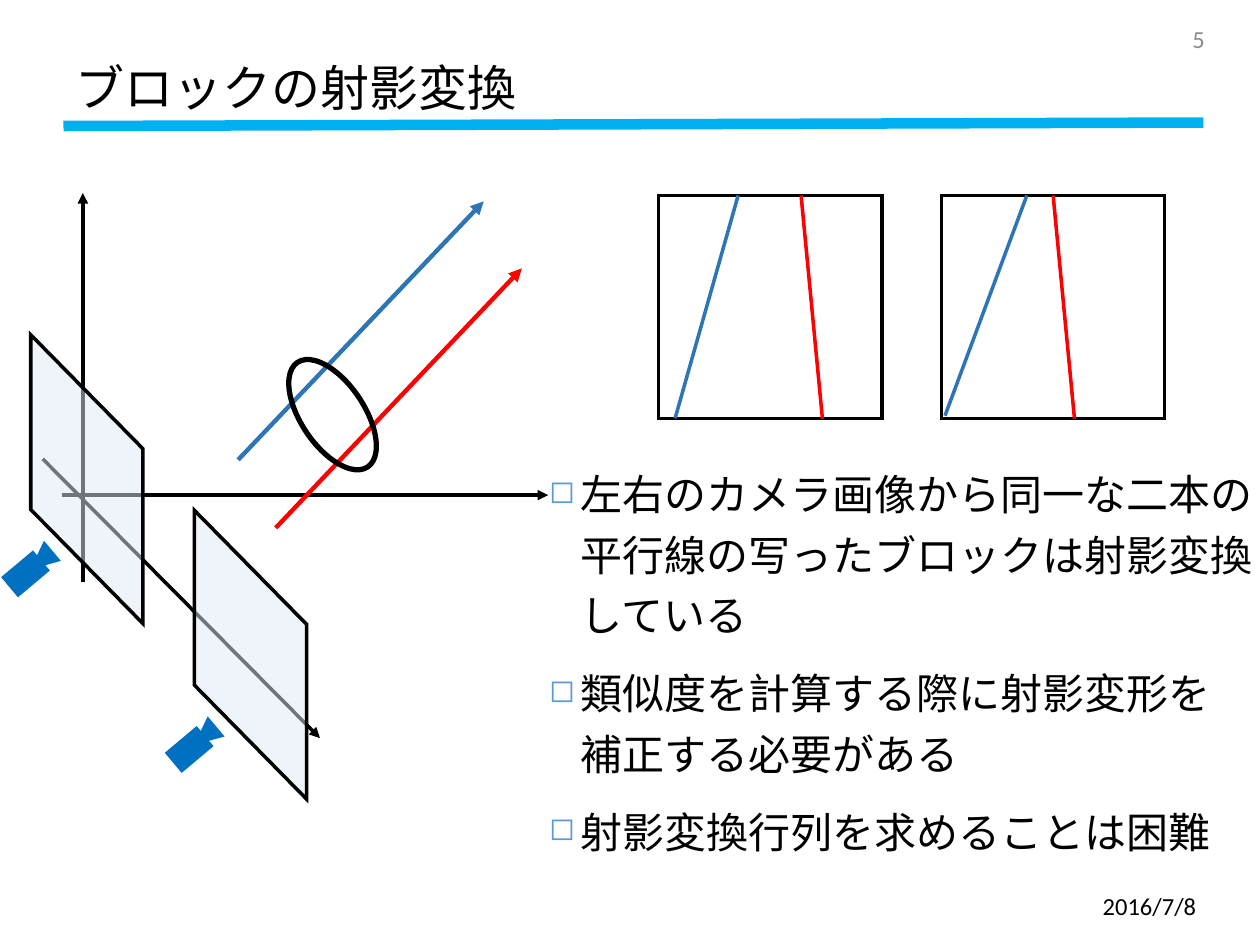
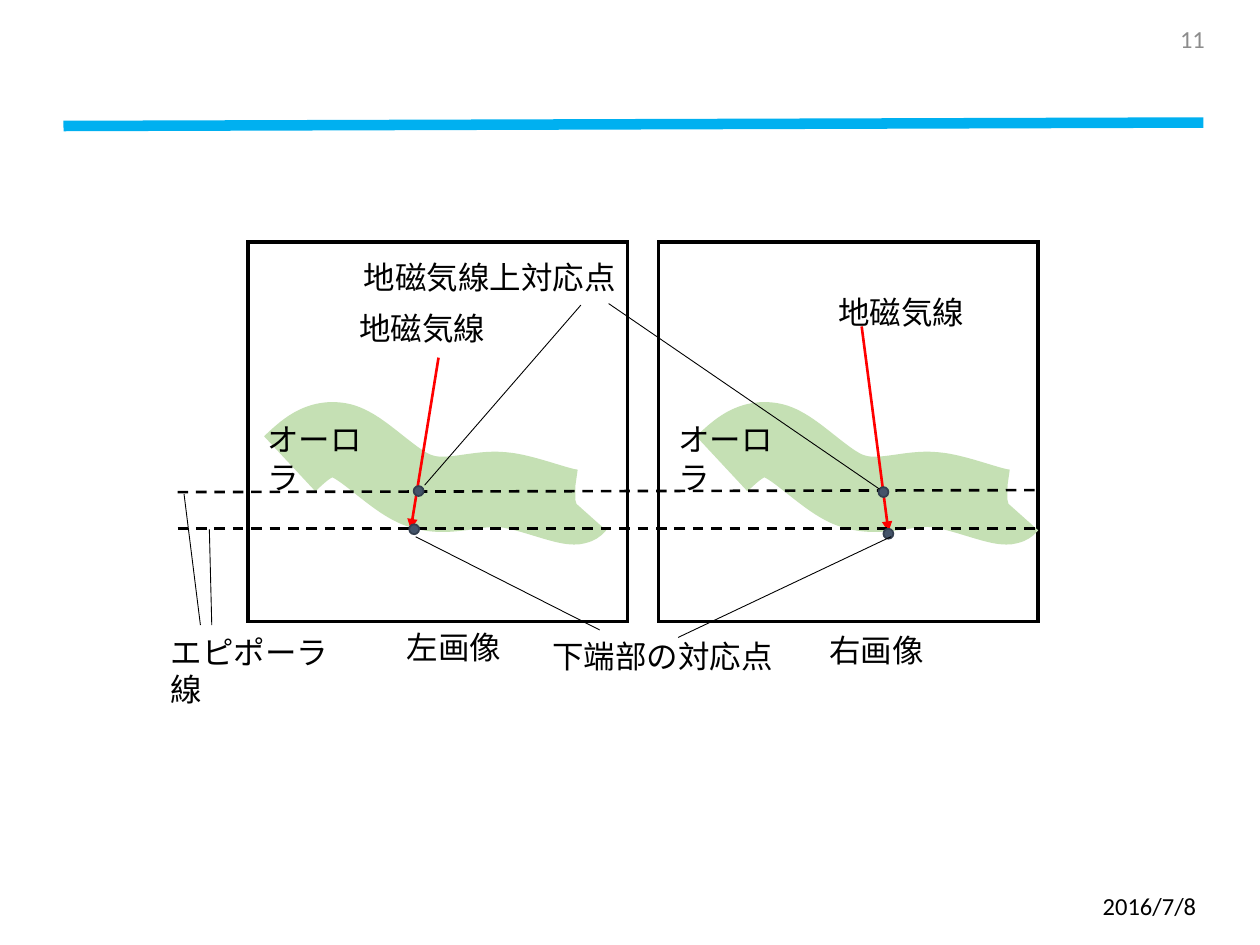
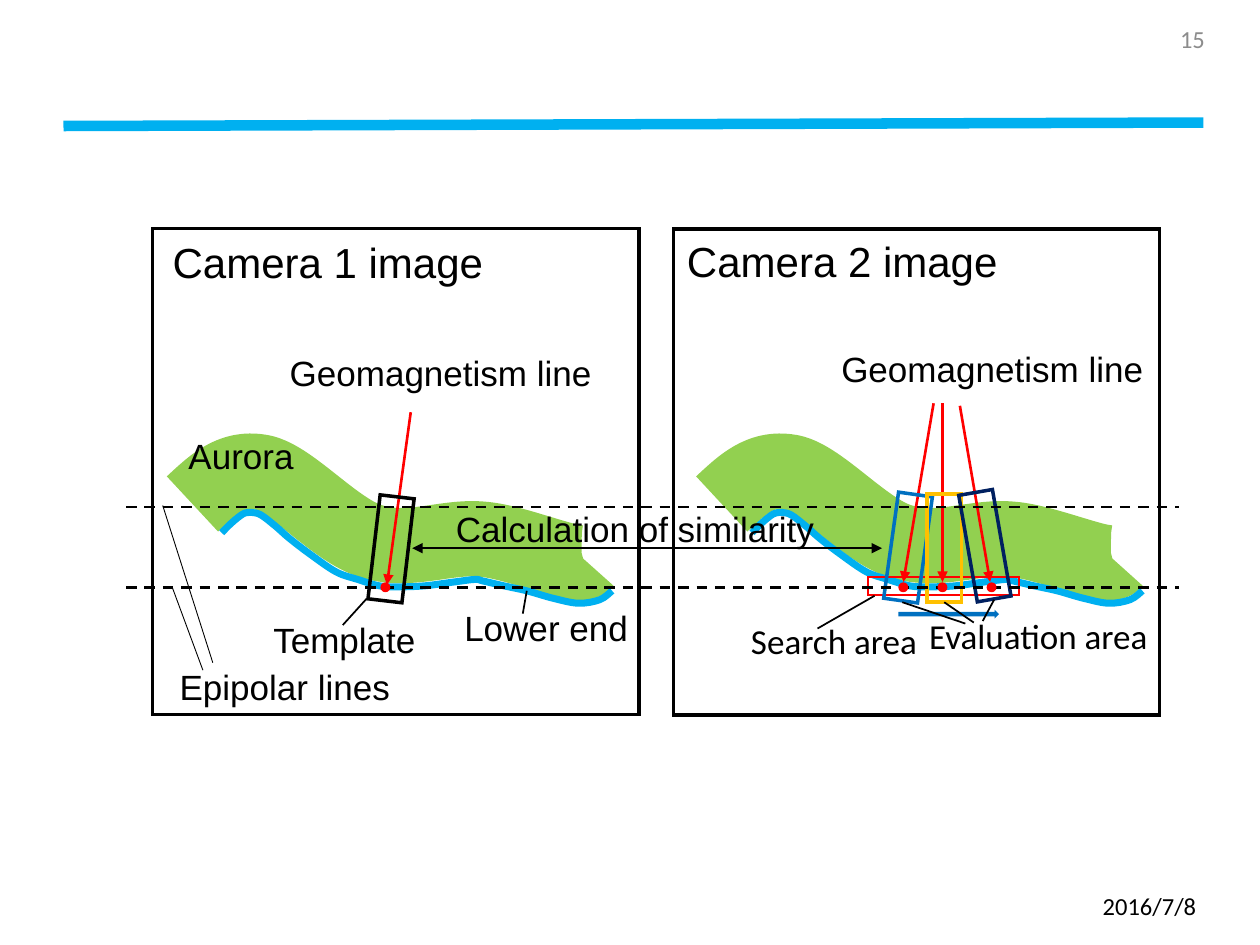
import lxml.etree
import pptx
import pptx.dml.color
import pptx.enum.dml
import pptx.enum.shapes
import pptx.enum.text
import pptx.oxml.ns
import pptx.util

Cm = pptx.util.Cm
Pt = pptx.util.Pt
qn = pptx.oxml.ns.qn
SHAPE = pptx.enum.shapes.MSO_SHAPE
ALIGN = pptx.enum.text.PP_ALIGN
ANCHOR = pptx.enum.text.MSO_ANCHOR

BLACK, WHITE, RED = "000000", "FFFFFF", "FF0000"
BLUE, DARK_BLUE, SKY = "2E75B6", "0070C0", "00B0F0"
GREY, PALE_GREEN, GREEN = "8C8C8C", "C5E0B4", "92D050"
JAPANESE, LATIN, SANS = "Noto Sans CJK JP", "Calibri", "Arial"

# Offsets in cm from the first point; the band is a chain of Bezier curves.
AURORA_BAND = [
    (0, 0), (.41, -.38), (.79, -.76), (1.4, -.64), (2.01, -.51), (2.9, .56),
    (3.63, .76), (4.37, .99), (5.13, .64), (5.84, .71), (6.55, .76),
    (7.85, 1.35), (7.92, 1.14)]
LOWER_EDGE = [
    (0, 0), (.2, -.2), (.43, -.38), (.56, -.41), (.61, -.41), (.79, -.36),
    (1.09, -.13), (1.35, .1), (1.78, .43), (2.31, .79), (2.74, .94),
    (3.18, 1.07), (3.56, 1.09), (4.09, 1.07), (4.7, .99), (5.11, .94),
    (5.26, .97), (5.69, 1.07), (6.15, 1.17), (6.68, 1.32), (7.19, 1.42),
    (7.62, 1.35), (7.87, 1.17)]


def rgb(value):
    return pptx.dml.color.RGBColor.from_string(value)


def style_runs(paragraph, size, font, color):
    for span in paragraph.runs:
        span.font.size = Pt(size)
        span.font.name = font
        span.font.color.rgb = rgb(color)
        if font == JAPANESE:
            east_asian = lxml.etree.SubElement(span.font._element, qn("a:ea"))
            east_asian.set("typeface", font)


def add_box(page, left, top, width, height, anchor=ANCHOR.TOP):
    box = page.shapes.add_textbox(Cm(left), Cm(top), Cm(width), Cm(height))
    box.text_frame.word_wrap = True
    box.text_frame.vertical_anchor = anchor
    return box


def add_label(page, text, left, top, width, height=1.02, size=18, font=LATIN,
              color=BLACK, anchor=ANCHOR.TOP, align=ALIGN.LEFT):
    box = add_box(page, left, top, width, height, anchor)
    para = box.text_frame.paragraphs[0]
    para.text = text
    para.alignment = align
    style_runs(para, size, font, color)
    return box


def add_line(page, start, end, color=BLACK, width=2.0, dashed=False,
             head=False, tail=False):
    line = page.shapes.add_connector(
        pptx.enum.shapes.MSO_CONNECTOR.STRAIGHT, *map(Cm, start + end))
    line.line.color.rgb = rgb(color)
    line.line.width = Pt(width)
    if dashed:
        line.line.dash_style = pptx.enum.dml.MSO_LINE.DASH
    properties = line._element.spPr
    outline = properties.find(qn("a:ln"))
    for tag, wanted in (("a:headEnd", head), ("a:tailEnd", tail)):
        if wanted:
            lxml.etree.SubElement(outline, qn(tag)).set("type", "triangle")
    lxml.etree.SubElement(properties, qn("a:effectLst"))
    return line


def paint(shape, fill, color, width):
    shape.shadow.inherit = False
    if fill:
        shape.fill.solid()
        shape.fill.fore_color.rgb = rgb(fill)
    else:
        shape.fill.background()
    if color:
        shape.line.color.rgb = rgb(color)
        shape.line.width = Pt(width)
    else:
        shape.line.fill.background()


def add_figure(page, kind, left, top, width, height, fill=None, color=None,
               line_width=2, rotation=0):
    shape = page.shapes.add_shape(
        kind, Cm(left), Cm(top), Cm(width), Cm(height))
    shape.rotation = rotation
    paint(shape, fill, color, line_width)
    if color:
        outline = shape._element.spPr.find(qn("a:ln"))
        lxml.etree.SubElement(outline, qn("a:miter")).set("lim", "800000")
    return shape


def smooth(points):
    """Return Bezier points of a soft curve through all the points."""
    padded = [points[0], *points, points[-1]]
    curve = [points[0]]
    for before, start, end, after in zip(padded, points, points[1:], padded[3:]):
        leave = tuple(s + (e - b) / 6 for b, s, e in zip(before, start, end))
        arrive = tuple(e - (a - s) / 6 for s, e, a in zip(start, end, after))
        curve += [leave, arrive, end]
    return curve


def add_curve(page, left, top, offsets, color, width, scale=1.0):
    """Draw an open chain of Bezier curves, three offsets to a curve."""
    points = [(Cm(left + x * scale), Cm(top + y * scale)) for x, y in offsets]
    builder = page.shapes.build_freeform(*points[0])
    builder.add_line_segments(points[1:], close=False)
    shape = builder.convert_to_shape()
    paint(shape, None, color, width)
    track = next(shape._element.iter(qn("a:path")))
    segments = track.findall(qn("a:lnTo"))
    for first in range(0, len(segments), 3):
        bezier = lxml.etree.SubElement(track, qn("a:cubicBezTo"))
        for segment in segments[first:first + 3]:
            bezier.append(segment[0])
            track.remove(segment)


def add_page(deck, number, title=None):
    page = deck.slides.add_slide(deck.slide_layouts[6])
    add_line(page, (1.28, 2.54), (24.26, 2.47), SKY, 6)
    if title:
        box = add_label(page, title, 1.28, .69, 22.96, 2.29, 28, JAPANESE,
                        anchor=ANCHOR.MIDDLE)
        box.text_frame.paragraphs[0].line_spacing = .9
    add_label(page, "2016/7/8", 21.98, 17.75, 3.1, size=14,
              anchor=ANCHOR.MIDDLE)
    add_label(page, str(number), 23.02, .28, 1.52, size=14, color=GREY,
              anchor=ANCHOR.MIDDLE, align=ALIGN.RIGHT)
    return page


def add_bullets(page, texts, left, top, width, height):
    frame = add_box(page, left, top, width, height).text_frame
    for index, text in enumerate(texts):
        para = frame.add_paragraph() if index else frame.paragraphs[0]
        para.text = text
        properties = para._p.get_or_add_pPr()
        properties.set("marL", str(Cm(.64)))
        properties.set("indent", str(-Cm(.64)))
        bullet_color = lxml.etree.SubElement(properties, qn("a:buClr"))
        lxml.etree.SubElement(bullet_color, qn("a:srgbClr")).set("val", "5B9BD5")
        lxml.etree.SubElement(properties, qn("a:buSzPct")).set("val", "75000")
        lxml.etree.SubElement(properties, qn("a:buChar")).set("char", "◻")
        para.line_spacing = 1.2
        para.space_before = Pt(10 if index else 0)
        style_runs(para, 24, JAPANESE, BLACK)


def add_camera(page, left, top):
    """Draw a translucent image plane with its camera below left."""
    plane = add_figure(page, SHAPE.PARALLELOGRAM, left, top, 5.82, 2.26,
                       "DEEBF7", BLACK, rotation=90)
    plane.adjustments[0] = 1.016
    plane_color = plane._element.spPr.find(qn("a:solidFill"))[0]
    lxml.etree.SubElement(plane_color, qn("a:alpha")).set("val", "50000")
    add_figure(page, SHAPE.RECTANGLE, left + 1.41, top + 2.62, .53, .84,
               DARK_BLUE, rotation=50)
    add_figure(page, SHAPE.ISOSCELES_TRIANGLE, left + 1.73, top + 2.47,
               .53, .58, DARK_BLUE, rotation=230)


def add_block(page, left, blue_top, blue_bottom, red_top):
    """Draw one image block crossed by a blue and a red line."""
    top, side = 3.94, 4.5
    add_figure(page, SHAPE.RECTANGLE, left, top, side, side, WHITE, BLACK)
    add_line(page, (blue_top, top), blue_bottom, BLUE)
    add_line(page, (red_top, top), (red_top + .43, top + side), RED)


def projection_slide(deck):
    page = add_page(deck, 5, "ブロックの射影変換")
    add_block(page, 13.28, 14.88, (13.61, 8.43), 16.15)
    add_block(page, 18.98, 20.7, (19.05, 8.38), 21.23)
    add_bullets(page, [
        "左右のカメラ画像から同一な二本の平行線の写ったブロックは射影変換している",
        "類似度を計算する際に射影変形を\v補正する必要がある",
        "射影変換行列を求めることは困難"], 10.82, 9.12, 15.39, 8.74)
    for start, end in [((1.24, 9.98), (11.05, 9.98)),
                       ((.86, 9.25), (6.45, 14.88)),
                       ((1.67, 11.73), (1.67, 3.89))]:
        add_line(page, start, end, tail=True)
    add_camera(page, 2.14, 12.07)
    add_camera(page, -1.16, 8.53)
    add_line(page, (4.8, 9.27), (9.75, 4.06), BLUE, 2.5, tail=True)
    add_line(page, (5.56, 10.64), (10.52, 5.41), RED, 2.5, tail=True)
    add_figure(page, SHAPE.OVAL, 6.07, 7.09, 1.27, 2.54, color=BLACK,
               line_width=3, rotation=326.1)


def epipolar_slide(deck):
    page = add_page(deck, 11)
    images = [(5, 5.84, (8.84, 7.21), (8.28, 10.67)),
              (13.28, 14.55, (17.37, 6.58), (17.91, 10.72))]
    for left, band_left, line_start, line_end in images:
        add_figure(page, SHAPE.RECTANGLE, left, 4.88, 7.65, 7.65, WHITE, BLACK)
        add_curve(page, band_left, 9.35, AURORA_BAND, PALE_GREEN, 43,
                  scale=2.29 / 3.12)
        add_line(page, line_start, line_end, RED, 1.5, tail=True)
        add_label(page, "オーロラ", left + .14, 8.34, 2.79)

    for start, end in [((3.58, 10.66), (20.93, 10.66)),
                       ((3.58, 9.92), (20.93, 9.88))]:
        add_line(page, start, end, width=1.5, dashed=True)
    for left, top in [(8.25, 10.57), (17.81, 10.66), (17.71, 9.82), (8.34, 9.8)]:
        add_figure(page, SHAPE.OVAL, left, top, .2, .2, "44546A", "333F50", 1)

    for text, left, top, width in [
            ("地磁気線", 6.99, 6.1, 3.07), ("地磁気線", 16.65, 5.78, 3.07),
            ("左画像", 7.95, 12.54, 2.44), ("右画像", 16.47, 12.6, 2.44),
            ("エピポーラ線", 3.19, 12.63, 4.01),
            ("下端部の対応点", 10.88, 12.72, 5),
            ("地磁気線上対応点", 7.08, 5.08, 5.64)]:
        add_label(page, text, left, top, width)
    for start, end in [
            ((8.38, 10.82), (12.09, 12.7)), ((17.96, 10.82), (13.67, 12.85)),
            ((8.56, 9.78), (11.71, 6.15)), ((17.73, 9.86), (12.27, 6.12)),
            ((4.27, 12.6), (4.22, 10.67)), ((4.04, 12.6), (3.71, 9.96))]:
        add_line(page, start, end, width=.5)


def similarity_slide(deck):
    page = add_page(deck, 15)
    for left, top, band_left, edge_left in [(3.08, 4.61, 3.88, 4.47),
                                            (13.58, 4.62, 14.55, 15.16)]:
        add_figure(page, SHAPE.RECTANGLE, left, top, 9.8, 9.8, WHITE, BLACK)
        add_curve(page, band_left, 10.16, AURORA_BAND, GREEN, 43)
        add_curve(page, edge_left, 10.74, smooth(LOWER_EDGE), SKY, 4)

    add_figure(page, SHAPE.RECTANGLE, 17.5, 11.63, 3.05, .36, color=RED,
               line_width=1)
    for start, end in [
            ((8.28, 8.31), (7.8, 11.79)), ((18.82, 8.13), (18.21, 11.73)),
            ((19, 8.13), (19, 11.73)), ((19.35, 8.18), (19.96, 11.73))]:
        add_line(page, start, end, RED, 1.5, tail=True)
    areas = [add_figure(page, SHAPE.RECTANGLE, left, top, .69, height,
                        color=color, rotation=rotation)
             for left, top, height, color, rotation in [
                 (7.54, 10.01, 2.11, BLACK, 6.7),
                 (17.96, 9.96, 2.16, DARK_BLUE, 8),
                 (18.69, 9.96, 2.18, "FFC000", 0),
                 (19.51, 9.91, 2.18, "002060", 350.1)]]

    add_figure(page, SHAPE.RIGHT_ARROW, 18.11, 12.29, 2.03, .18, DARK_BLUE)
    add_line(page, (8.31, 11.05), (17.78, 11.05), width=1.5, head=True,
             tail=True)
    for height in (11.84, 10.22):
        add_line(page, (2.54, height), (23.77, height), width=1.5, dashed=True)
    for left in (7.67, 18.11, 18.9, 19.89):
        add_figure(page, SHAPE.OVAL, left, 11.74, .2, .2, RED)

    for start, end, width in [
            ((7.39, 12.07), (6.91, 12.6), 1),
            ((10.62, 11.91), (10.54, 12.37), 1),
            ((17.63, 12.01), (16.48, 12.67), 1),
            ((18.19, 12.14), (19.46, 12.57), 1),
            ((20.04, 12.09), (19.81, 12.52), 1),
            ((4.09, 13.51), (3.48, 11.86), .5),
            ((4.29, 13.36), (3.28, 10.19), .5)]:
        add_line(page, start, end, width=width)
    middle_pointer = add_line(page, (19, 12.14), (19.63, 12.55), width=1)
    middle_pointer.begin_connect(areas[2], 2)

    for text, left, top, width, size, font in [
            ("Camera 1 image", 3.23, 4.65, 7.59, 24, SANS),
            ("Camera 2 image", 13.6, 4.62, 9.3, 24, SANS),
            ("Geomagnetism line", 5.59, 6.97, 6.65, 20, SANS),
            ("Geomagnetism line", 16.71, 6.89, 6.65, 20, SANS),
            ("Aurora", 3.55, 8.64, 2.95, 20, SANS),
            ("Calculation of similarity", 8.94, 10.11, 8.84, 20, SANS),
            ("Template", 5.26, 12.34, 3.78, 20, SANS),
            ("Lower end", 9.11, 12.1, 3.84, 20, SANS),
            ("Epipolar lines", 3.37, 13.29, 4.8, 20, SANS),
            ("Search area", 14.89, 12.37, 3.91, 20, LATIN),
            ("Evaluation area", 18.48, 12.27, 4.98, 20, LATIN)]:
        add_label(page, text, left, top, width, size=size, font=font)


def main():
    deck = pptx.Presentation()
    deck.slide_width, deck.slide_height = Cm(25.4), Cm(19.05)
    projection_slide(deck)
    epipolar_slide(deck)
    similarity_slide(deck)
    deck.save("out.pptx")


if __name__ == "__main__":
    main()
